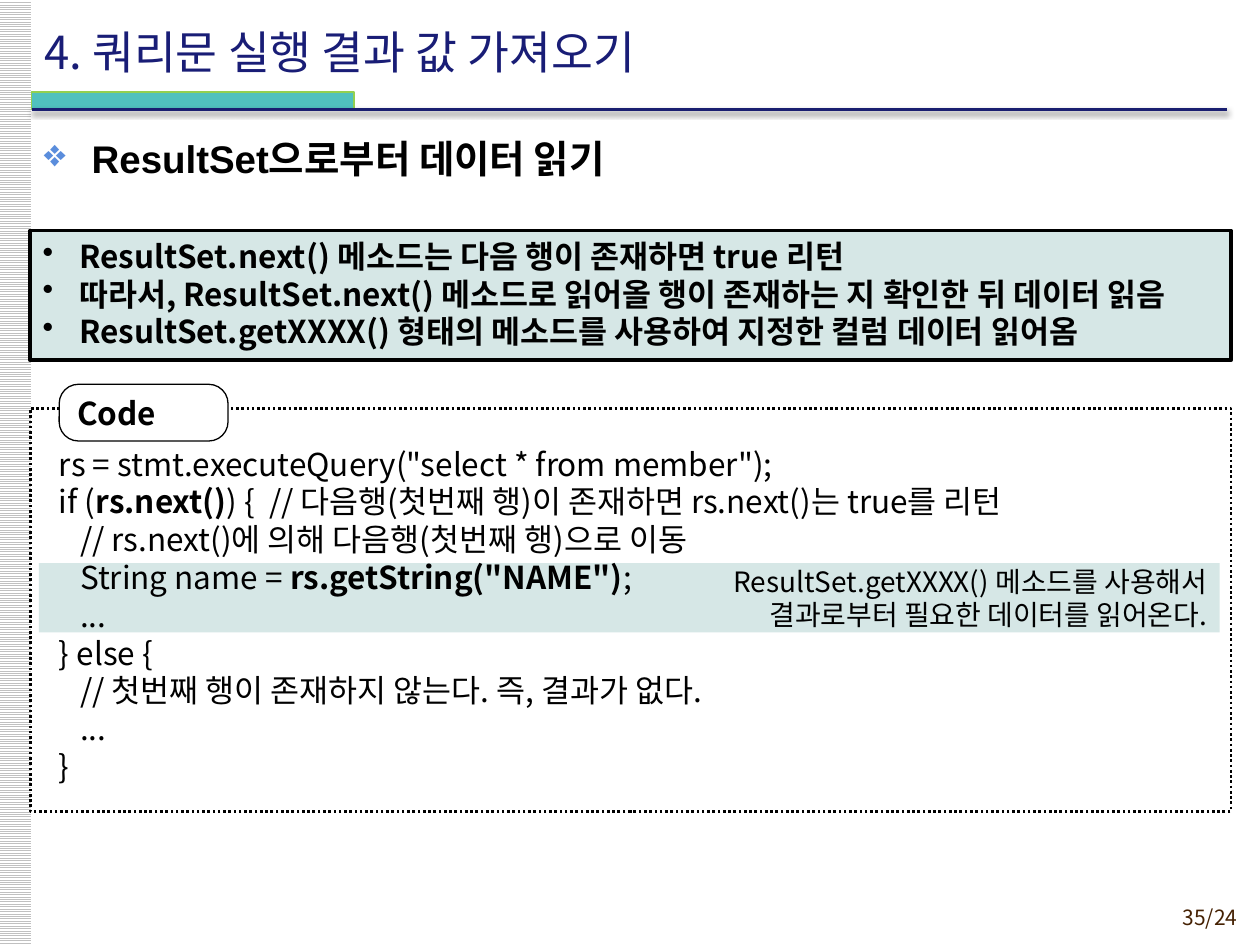
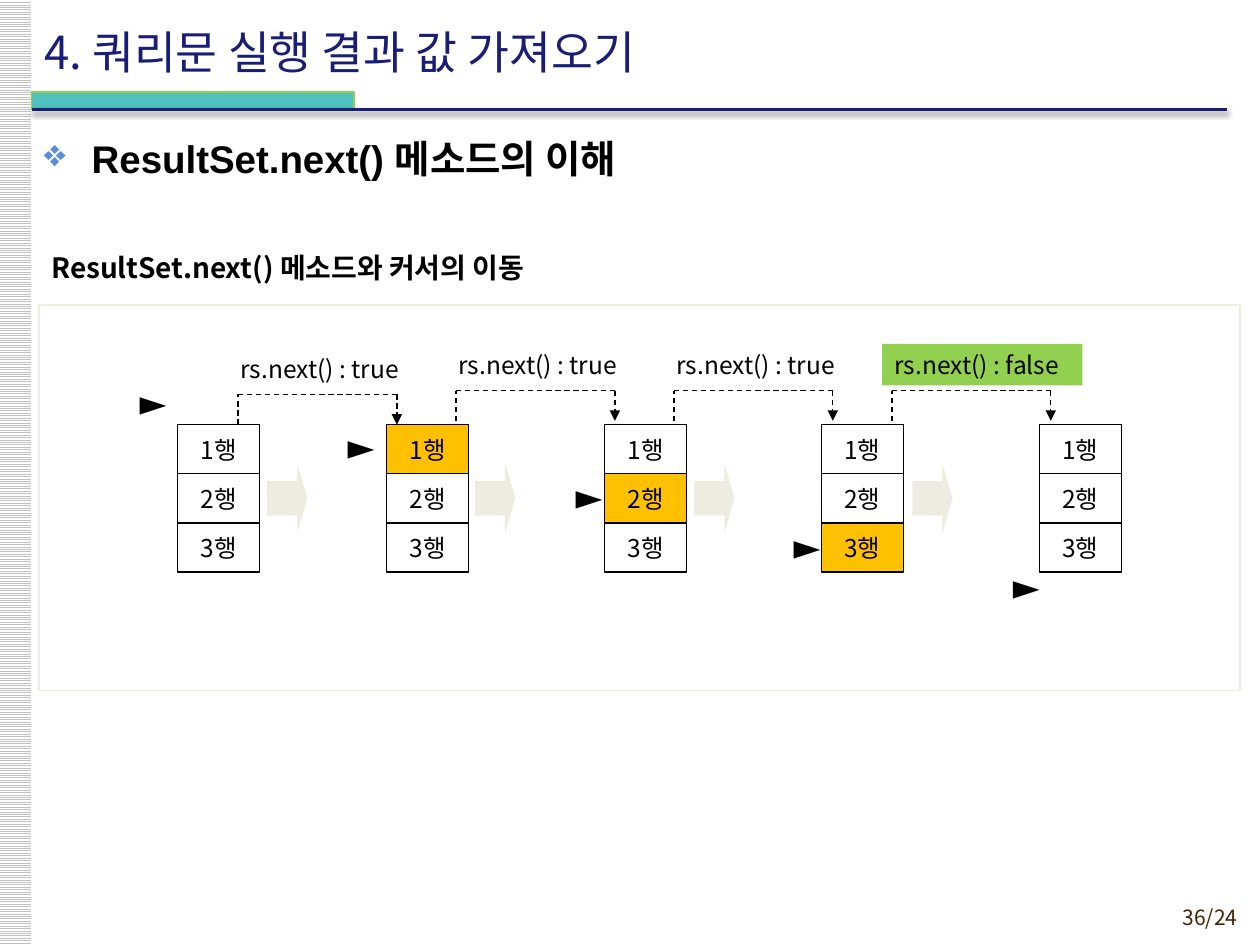
from dataclasses import dataclass
from typing import NamedTuple, Optional

from lxml.etree import SubElement
from pptx import Presentation
from pptx.dml.color import RGBColor
from pptx.enum.dml import MSO_LINE as Dash, MSO_PATTERN_TYPE as Pattern
from pptx.enum.shapes import MSO_CONNECTOR as Connector, MSO_SHAPE as Preset
from pptx.enum.text import MSO_ANCHOR as Anchor, PP_ALIGN as Align
from pptx.oxml.ns import qn
from pptx.util import Emu, Pt

PX = 9144
KOREAN_FONT = "Noto Sans CJK KR"
TITLE = "4. 쿼리문 실행 결과 값 가져오기"
COLORS = {
    "black": "000000",
    "white": "FFFFFF",
    "stripe": "C0C0C0",
    "page": "452103",
    "teal": "50C1BE",
    "green": "92D050",
    "rule": "191E70",
    "title": "191D76",
    "diamond": "5A8DDC",
    "mint": "D6E7E6",
    "ivory": "EEECE1",
    "amber": "FFC000",
}


class Box(NamedTuple):
    left: int
    top: int
    width: int
    height: int


class Stage(NamedTuple):
    left: int
    cursor_left: int
    cursor_top: int
    current_row: Optional[int]


class Hop(NamedTuple):
    left: int
    top: int
    arrow_left: int
    result: str


@dataclass(frozen=True)
class TextStyle:
    size: int
    color: str = "black"
    bold: bool = False
    latin: str = KOREAN_FONT
    align: Align = Align.LEFT
    anchor: Anchor = Anchor.TOP


@dataclass(frozen=True)
class Bullet:
    symbol: str
    indent: int
    color: str


@dataclass(frozen=True)
class Outline:
    color: str
    width: float
    dash: Optional[Dash] = None


THIN = Outline("black", 0.75)
DASHED = Outline("black", 0.75, Dash.DASH)
TITLE_STYLE = TextStyle(26, "title", anchor=Anchor.MIDDLE)
HEADING_STYLE = TextStyle(22, bold=True, latin="Arial")
PAGE_STYLE = TextStyle(12, "page", align=Align.RIGHT)
CODE_STYLE = TextStyle(18)
POINT_STYLE = TextStyle(18, bold=True)
TAB_STYLE = TextStyle(18, bold=True, anchor=Anchor.MIDDLE)
NOTE_STYLE = TextStyle(16, align=Align.RIGHT, anchor=Anchor.MIDDLE)
CAPTION_STYLE = TextStyle(16, bold=True)
LABEL_STYLE = TextStyle(14)
ROW_STYLE = TextStyle(14, align=Align.CENTER, anchor=Anchor.MIDDLE)
CURSOR_STYLE = TextStyle(20)
DIAMOND = Bullet("❖", 38, "diamond")
DOT = Bullet("•", 29, "black")

POINTS = [
    "ResultSet.next() 메소드는 다음 행이 존재하면 true 리턴",
    "따라서, ResultSet.next() 메소드로 읽어올 행이 존재하는 지 확인한 뒤 데이터 읽음",
    "ResultSet.getXXXX() 형태의 메소드를 사용하여 지정한 컬럼 데이터 읽어옴",
]
NOTE = ["ResultSet.getXXXX() 메소드를 사용해서", "결과로부터 필요한 데이터를 읽어온다."]
CODE = [
    'rs = stmt.executeQuery("select * from member");',
    "if (**rs.next()**) {  // 다음행(첫번째 행)이 존재하면 rs.next()는 true를 리턴",
    "   // rs.next()에 의해 다음행(첫번째 행)으로 이동",
    '   String name = **rs.getString("NAME")**;',
    "   ...",
    "} else {",
    "   // 첫번째 행이 존재하지 않는다. 즉, 결과가 없다.",
    "   ...",
    "}",
]
ROWS = ["1행", "2행", "3행"]
STAGES = [
    Stage(141, 101, 297, None),
    Stage(307, 266, 332, 0),
    Stage(480, 447, 372, 1),
    Stage(652, 620, 411, 2),
    Stage(825, 794, 443, None),
]
HOPS = [
    Hop(189, 313, 212, "true"),
    Hop(362, 310, 377, "true"),
    Hop(535, 310, 551, "true"),
    Hop(708, 310, 724, "false"),
]


def px(length: int) -> Emu:
    return Emu(length * PX)


def rgb(name: str) -> RGBColor:
    return RGBColor.from_string(COLORS[name])


def set_line(line, outline: Outline) -> None:
    line.color.rgb = rgb(outline.color)
    line.width = Pt(outline.width)
    if outline.dash:
        line.dash_style = outline.dash


def add_bullet(paragraph, bullet: Bullet) -> None:
    properties = paragraph._p.get_or_add_pPr()
    properties.set("marL", str(px(bullet.indent)))
    properties.set("indent", str(-px(bullet.indent)))
    color = SubElement(properties, qn("a:buClr"))
    SubElement(color, qn("a:srgbClr"), val=COLORS[bullet.color])
    SubElement(properties, qn("a:buChar"), char=bullet.symbol)


def write(shape, lines: list[str], style: TextStyle, bullet: Optional[Bullet] = None) -> None:
    frame = shape.text_frame
    frame.word_wrap = True
    frame.vertical_anchor = style.anchor
    for index, line in enumerate(lines):
        paragraph = frame.add_paragraph() if index else frame.paragraphs[0]
        if bullet:
            add_bullet(paragraph, bullet)
        paragraph.alignment = style.align
        if style.anchor == Anchor.TOP or len(lines) > 1:
            paragraph.line_spacing = Pt(style.size * 1.2)
        for part_index, part in enumerate(line.split("**")):
            run = paragraph.add_run()
            run.text = part
            font = run.font
            font.size = Pt(style.size)
            font.bold = style.bold or part_index % 2 == 1
            font.color.rgb = rgb(style.color)
            font.name = style.latin
            SubElement(font._element, qn("a:ea"), typeface=KOREAN_FONT)


def add_text(slide, box: Box, lines: list[str], style: TextStyle,
             bullet: Optional[Bullet] = None) -> None:
    write(slide.shapes.add_textbox(*map(px, box)), lines, style, bullet)


def add_block(slide, box: Box, fill: Optional[str] = None, outline: Optional[Outline] = None,
              preset: Preset = Preset.RECTANGLE):
    shape = slide.shapes.add_shape(preset, *map(px, box))
    shape.shadow.inherit = False
    if fill:
        shape.fill.solid()
        shape.fill.fore_color.rgb = rgb(fill)
    else:
        shape.fill.background()
    if outline:
        set_line(shape.line, outline)
    else:
        shape.line.fill.background()
    return shape


def add_line(slide, start: tuple[int, int], end: tuple[int, int], outline: Outline,
             arrow: bool = False):
    connector = slide.shapes.add_connector(Connector.STRAIGHT, *map(px, start + end))
    set_line(connector.line, outline)
    if arrow:
        SubElement(connector.line._get_or_add_ln(), qn("a:tailEnd"), type="triangle")
    effects = SubElement(connector._element.spPr, qn("a:effectLst"))
    return effects


def add_base_slide(presentation, heading: str, page: str):
    slide = presentation.slides.add_slide(presentation.slide_layouts[5])
    stripes = add_block(slide, Box(-1, 0, 26, 750))
    stripes.fill.patterned()
    stripes.fill.pattern = Pattern.LIGHT_HORIZONTAL
    stripes.fill.fore_color.rgb = rgb("stripe")
    stripes.fill.back_color.rgb = rgb("white")
    add_text(slide, Box(886, 713, 106, 29), [page], PAGE_STYLE)
    add_block(slide, Box(25, 73, 256, 14), "teal", Outline("green", 0.75))
    effects = add_line(slide, (25, 87), (974, 87), Outline("rule", 2))
    shadow = SubElement(effects, qn("a:outerShdw"), blurRad=str(Pt(3.1)),
                        dist=str(Pt(1.6)), dir="5400000", rotWithShape="0")
    shadow_color = SubElement(shadow, qn("a:srgbClr"), val=COLORS["black"])
    SubElement(shadow_color, qn("a:alpha"), val="38000")
    title = slide.shapes.title
    title.left, title.top, title.width, title.height = map(px, Box(25, 9, 827, 63))
    write(title, [TITLE], TITLE_STYLE)
    add_text(slide, Box(25, 102, 950, 50), [heading], HEADING_STYLE, DIAMOND)
    return slide


def build_reading_slide(presentation) -> None:
    slide = add_base_slide(presentation, "ResultSet으로부터 데이터 읽기", "35/24")
    note = add_block(slide, Box(31, 447, 937, 55), "mint")
    write(note, NOTE, NOTE_STYLE)
    add_block(slide, Box(24, 324, 953, 320), outline=Outline("black", 1.5, Dash.ROUND_DOT))
    code_tab = add_block(slide, Box(47, 305, 134, 45), "white", THIN, Preset.ROUNDED_RECTANGLE)
    code_tab.adjustments[0] = 0.34
    write(code_tab, ["Code"], TAB_STYLE)
    add_text(slide, Box(37, 348, 840, 280), CODE, CODE_STYLE)
    summary = add_block(slide, Box(24, 183, 953, 103), "mint", Outline("black", 2.25))
    write(summary, POINTS, POINT_STYLE, DOT)


def add_stage(slide, stage: Stage) -> None:
    for index, label in enumerate(ROWS):
        fill = "amber" if index == stage.current_row else "white"
        row = add_block(slide, Box(stage.left, 337 + 39 * index, 65, 39), fill, THIN)
        write(row, [label], ROW_STYLE)
    add_text(slide, Box(stage.cursor_left, stage.cursor_top, 41, 43), ["►"], CURSOR_STYLE)


def add_hop(slide, hop: Hop) -> None:
    arrow = add_block(slide, Box(hop.arrow_left, 368, 32, 55), "ivory", preset=Preset.RIGHT_ARROW)
    arrow.adjustments[0] = 0.5
    arrow.adjustments[1] = 0.25
    right, bottom = hop.left + 126, hop.top + 24
    add_line(slide, (hop.left, bottom), (hop.left, hop.top), DASHED)
    add_line(slide, (hop.left, hop.top), (right, hop.top), DASHED)
    add_line(slide, (right, hop.top), (right, bottom), DASHED, arrow=True)
    ended = hop.result == "false"
    label_box = Box(hop.left - 8, hop.top - 37, 159 if ended else 150, 33)
    label = [f"rs.next() : {hop.result}"]
    if ended:
        write(add_block(slide, label_box, "green"), label, LABEL_STYLE)
    else:
        add_text(slide, label_box, label, LABEL_STYLE)


def build_cursor_slide(presentation) -> None:
    slide = add_base_slide(presentation, "ResultSet.next() 메소드의 이해", "36/24")
    add_block(slide, Box(31, 242, 953, 306), outline=Outline("ivory", 1))
    add_text(slide, Box(31, 194, 409, 37), ["ResultSet.next() 메소드와 커서의 이동"], CAPTION_STYLE)
    for stage in STAGES:
        add_stage(slide, stage)
    for hop in HOPS:
        add_hop(slide, hop)


def main() -> None:
    presentation = Presentation()
    presentation.slide_width, presentation.slide_height = px(1000), px(750)
    build_reading_slide(presentation)
    build_cursor_slide(presentation)
    presentation.save("out.pptx")


if __name__ == "__main__":
    main()
